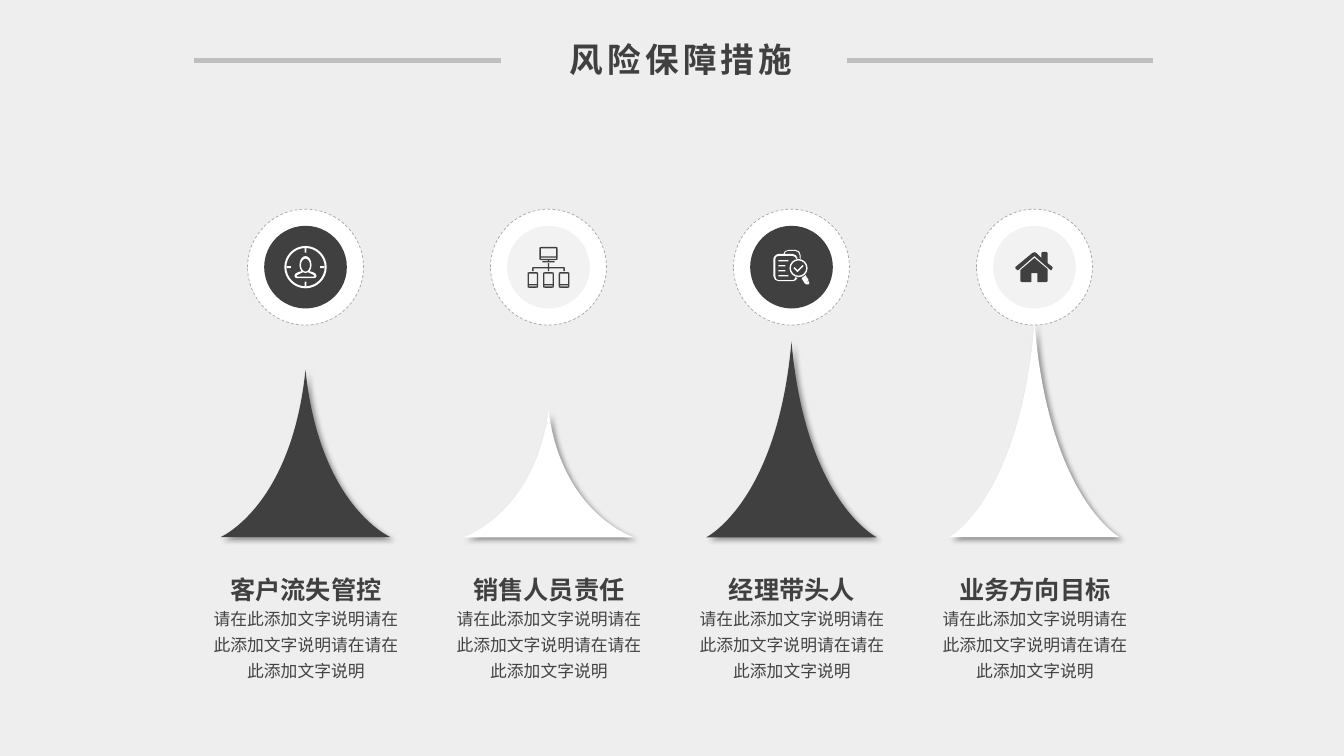
"""Build the risk safeguard slide with four peaks, badges and captions."""
import lxml.etree
import pptx
import pptx.dml.color
import pptx.enum.dml
import pptx.enum.shapes
import pptx.enum.text
import pptx.oxml.ns
import pptx.util
from pptx.util import Inches

COLORS = {"background": "EEEEEE", "dark": "404040", "white": "FFFFFF", "pale": "F2F2F2",
          "body": "424242", "rail": "BFBFBF", "dash": "A6A6A6", "shadow": "000000"}
CJK = "Noto Sans CJK SC"
DESCRIPTION = "请在此添加文字说明请在此添加文字说明请在请在此添加文字说明"
FIRST_CENTER, PITCH = 3.03, 2.41
BADGE_Y, BASE_Y = 2.65, 5.33


def rgb(name):
    return pptx.dml.color.RGBColor.from_string(COLORS[name])


def add_xml(parent, tag, **attributes):
    return lxml.etree.SubElement(parent, pptx.oxml.ns.qn(tag), attributes)


def pairs(segment):
    return list(zip(segment[::2], segment[1::2]))


def mirrored(half):
    """Close a half contour with its reflection in the vertical axis."""
    contour = half + [(-half[-1][-2], half[-1][-1])]
    for index in range(len(half) - 1, 0, -1):
        knots = pairs(half[index])[-2::-1] + [half[index - 1][-2:]]
        contour.append(tuple(value for x, y in knots for value in (-x, y)))
    return contour


def ring(cx, cy, rx, ry):
    kx, ky = 0.55 * rx, 0.55 * ry
    left, right, top, bottom = cx - rx, cx + rx, cy - ry, cy + ry
    return [(right, cy), (right, cy + ky, cx + kx, bottom, cx, bottom),
            (cx - kx, bottom, left, cy + ky, left, cy),
            (left, cy - ky, cx - kx, top, cx, top),
            (cx + kx, top, right, cy - ky, right, cy)]


def box(left, top, width, height):
    right, bottom = left + width, top + height
    return [(left, top), (right, top), (right, bottom), (left, bottom)]


def rounded(left, top, width, height, r):
    right, bottom = left + width, top + height
    return [(left + r, top), (right - r, top), (right, top, right, top, right, top + r),
            (right, bottom - r), (right, bottom, right, bottom, right - r, bottom),
            (left + r, bottom), (left, bottom, left, bottom, left, bottom - r),
            (left, top + r), (left, top, left, top, left + r, top)]


def customer_icon():
    silhouette = mirrored([(0, -11), (3.5, -11, 6, -7, 6, -2), (6, 0, 5.5, 2, 4, 4),
                           (7.5, 5), (10, 6, 11, 7, 11, 9), (11, 11, 8.5, 11, 7.5, 11)])
    shoulders = mirrored([(0, 6), (1, 6, 2, 5.5, 2.5, 5), (6.5, 7),
                          (8.5, 8, 9, 8, 9, 9), (9, 9.5, 8, 9.5, 7.5, 9.5)])
    ticks = [box(-1, -18.5, 2, 4), box(-1, 14.5, 2, 4),
             box(-18.5, -1, 4, 2), box(14.5, -1, 4, 2)]
    return [ring(0, 0, 21, 21), ring(0, 0, 19, 19), silhouette, shoulders,
            ring(0, -2, 4.5, 6.5)] + ticks


def network_icon():
    contours = [rounded(-9, -20, 18, 13, 2), box(-7.6, -18.7, 15.2, 8),
                box(-7.6, -9.5, 15.2, 1.3), box(-0.7, -7, 1.4, 1),
                box(-6, -6, 12, 1.3), box(-0.7, -4, 1.4, 4), box(-16, 0, 32, 1.3)]
    for x in (-15.5, 0, 15.5):
        contours += [box(x - 0.7, 1.3, 1.4, 2.7), rounded(x - 5.3, 5, 10.6, 15.5, 2),
                     box(x - 4, 6.5, 8, 10.3), box(x - 4, 18, 8, 1.2)]
    return contours


def review_icon():
    clipboard = [
        (4, 10), (6, 11), (5, 13, 3, 14, 1, 14), (-13, 14),
        (-15, 14, -18, 12, -18, 9), (-18, -8), (-18, -10, -15, -13, -13, -13), (-8, -13),
        (-8, -15, -6, -17, -3, -17), (4, -17), (7, -17, 9, -15, 9, -12), (9, -8), (8, -9),
        (8, -12), (8, -14, 6, -16, 4, -16), (-3, -16), (-5, -16, -7, -15, -7, -13),
        (1, -13), (3, -13, 6, -11, 6, -9), (5, -8), (4, -10, 3, -11, 1, -11), (-13, -11),
        (-15, -11, -16, -10, -16, -8), (-16, 9), (-16, 11, -15, 13, -13, 13), (1, 13),
        (2, 13, 4, 12, 4, 10)]
    check = [(6, 3), (3, 0), (2, 1), (6, 5), (12, -1), (11, -2)]
    handle = [(14, 8), (10, 11), (13, 16), (17, 13)]
    cap = [(17, 14), (13, 16), (14, 17, 15, 18, 17, 17), (18, 17, 18, 15, 17, 14)]
    rows = [box(-13, -7 + 5 * row, width, 1.3) for row, width in enumerate((10, 7, 7, 10))]
    return [clipboard, ring(7, 1, 9, 9), ring(7, 1, 7.6, 7.6), check, handle, cap] + rows


def house_icon():
    roof = [(17, 3), (16, 3), (0, -11), (-16, 3), (-17, 3), (-19, 1), (-19, 0),
            (-2, -14), (-1, -15, 1, -15, 2, -14), (7, -9), (7, -14), (8, -15),
            (12, -15), (13, -14), (13, -4), (18, 0), (18, 1)]
    walls = [(13, 14), (12, 15), (3, 15), (3, 6), (-3, 6), (-3, 15), (-12, 15), (-14, 14),
             (-14, 3), (0, -9), (13, 2)]
    return [roof, walls]


def paint(shape, color):
    shape.shadow.inherit = False
    shape.fill.solid()
    shape.fill.fore_color.rgb = rgb(color)
    shape.line.fill.background()


def add_outline(slide, center, top, contours, color):
    """Draw contours of lines and cubics, in hundredths of an inch around a point."""
    placed = [[[(Inches(center + x / 100), Inches(top + y / 100)) for x, y in pairs(segment)]
               for segment in contour] for contour in contours]
    builder = slide.shapes.build_freeform(*placed[0][0][0])
    for index, contour in enumerate(placed):
        if index:
            builder.move_to(*contour[0][0])
        builder.add_line_segments([segment[-1] for segment in contour[1:]])
    outline = builder.convert_to_shape()
    edges = list(outline._element.iter(pptx.oxml.ns.qn("a:lnTo")))
    segments = [segment for contour in placed for segment in contour[1:]]
    for edge, segment in zip(edges, segments):
        if len(segment) == 3:
            edge.tag = pptx.oxml.ns.qn("a:cubicBezTo")
            for place, (x, y) in enumerate(segment[:2]):
                control = add_xml(edge, "a:pt", x=str(x - outline.left), y=str(y - outline.top))
                edge.insert(place, control)
    paint(outline, color)
    return outline


def add_disc(slide, center, diameter, color):
    disc = slide.shapes.add_shape(
        pptx.enum.shapes.MSO_SHAPE.OVAL, Inches(center - diameter / 2),
        Inches(BADGE_Y - diameter / 2), Inches(diameter), Inches(diameter))
    paint(disc, color)
    return disc


def add_badge(slide, center, disc_color, icon, icon_color):
    rim = add_disc(slide, center, 1.15, "white")
    rim.line.color.rgb = rgb("dash")
    rim.line.width = pptx.util.Pt(0.5)
    rim.line.dash_style = pptx.enum.dml.MSO_LINE.DASH
    add_disc(slide, center, 0.82, disc_color)
    add_outline(slide, center, BADGE_Y, icon, icon_color)


def add_peak(slide, center, height, color):
    rise = 100 * height
    contour = [(84.5, 0), (84.5, 0, 14, -0.18 * rise, 0, -rise),
               (-14, -0.18 * rise, -84.5, 0, -84.5, 0)]
    peak = add_outline(slide, center, BASE_Y, [contour], color)
    effects = peak._element.spPr.find(pptx.oxml.ns.qn("a:effectLst"))
    shadow = add_xml(effects, "a:outerShdw", blurRad=str(pptx.util.Pt(4)),
                     dist=str(pptx.util.Pt(3)), dir="2700000", algn="tl", rotWithShape="0")
    tint = add_xml(shadow, "a:srgbClr", val=COLORS["shadow"])
    add_xml(tint, "a:alpha", val="40000")


def add_text(shapes, area, text, size, font, color, bold=False, spacing=None, tracking=None):
    frame = shapes.add_textbox(*map(Inches, area)).text_frame
    frame.word_wrap = True
    frame.auto_size = pptx.enum.text.MSO_AUTO_SIZE.SHAPE_TO_FIT_TEXT
    frame.text = text
    paragraph = frame.paragraphs[0]
    paragraph.alignment = pptx.enum.text.PP_ALIGN.CENTER
    paragraph.line_spacing = spacing
    run = paragraph.runs[0]
    run.font.size = pptx.util.Pt(size)
    run.font.name = font
    run.font.bold = bold
    run.font.color.rgb = rgb(color)
    properties = run._r.get_or_add_rPr()
    if font == CJK:
        add_xml(properties, "a:ea", typeface=font)
    if tracking:
        properties.set("spc", str(100 * tracking))


def add_rail(slide, left, right):
    rail = slide.shapes.add_connector(pptx.enum.shapes.MSO_CONNECTOR.STRAIGHT,
                                      Inches(left), Inches(0.6), Inches(right), Inches(0.6))
    rail.line.color.rgb = rgb("rail")
    rail.line.width = pptx.util.Pt(3)
    add_xml(rail._element.spPr, "a:effectLst")


def main():
    deck = pptx.Presentation()
    deck.slide_width, deck.slide_height = Inches(13.33), Inches(7.5)
    slide = deck.slides.add_slide(deck.slide_layouts[6])
    slide.background.fill.solid()
    slide.background.fill.fore_color.rgb = rgb("background")
    measures = [("客户流失管控", 1.66, customer_icon()), ("销售人员责任", 1.25, network_icon()),
                ("经理带头人", 1.94, review_icon()), ("业务方向目标", 2.13, house_icon())]
    for index, (heading, height, icon) in enumerate(measures):
        center = FIRST_CENTER + PITCH * index
        disc, mark, peak = (("pale", "dark", "white") if index % 2
                            else ("dark", "white", "dark"))
        add_badge(slide, center, disc, icon, mark)
        add_peak(slide, center, height, peak)
        caption = slide.shapes.add_group_shape().shapes
        add_text(caption, (center - 1.16, 5.56, 2.33, 0.46), heading, 18, "Arial", "dark",
                 bold=True, spacing=1.3)
        add_text(caption, (center - 1.02, 5.93, 2.05, 0.86), DESCRIPTION, 12, CJK, "body",
                 spacing=1.3)
    add_rail(slide, 1.92, 4.97)
    add_text(slide.shapes, (5.02, 0.34, 3.47, 0.5), "风险保障措施", 24, CJK, "dark",
             bold=True, tracking=3)
    add_rail(slide, 8.4, 11.44)
    deck.save("out.pptx")


if __name__ == "__main__":
    main()
